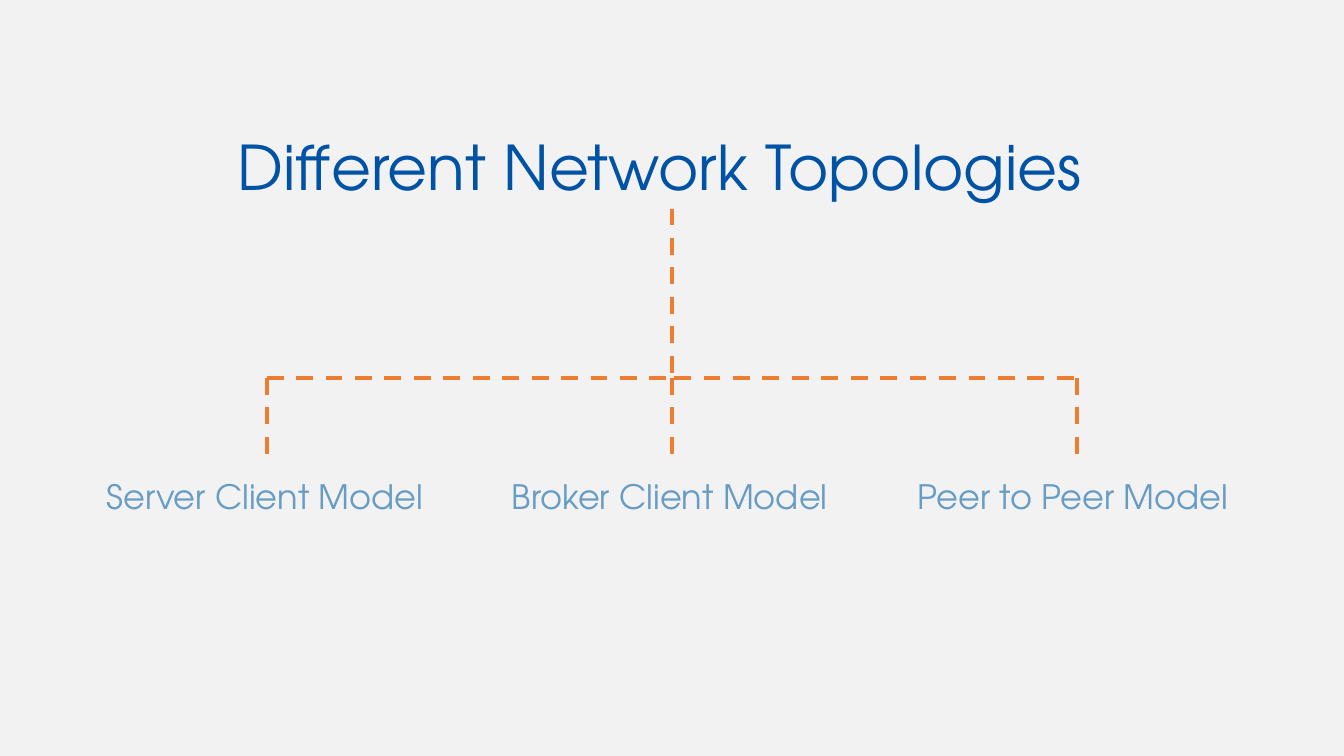
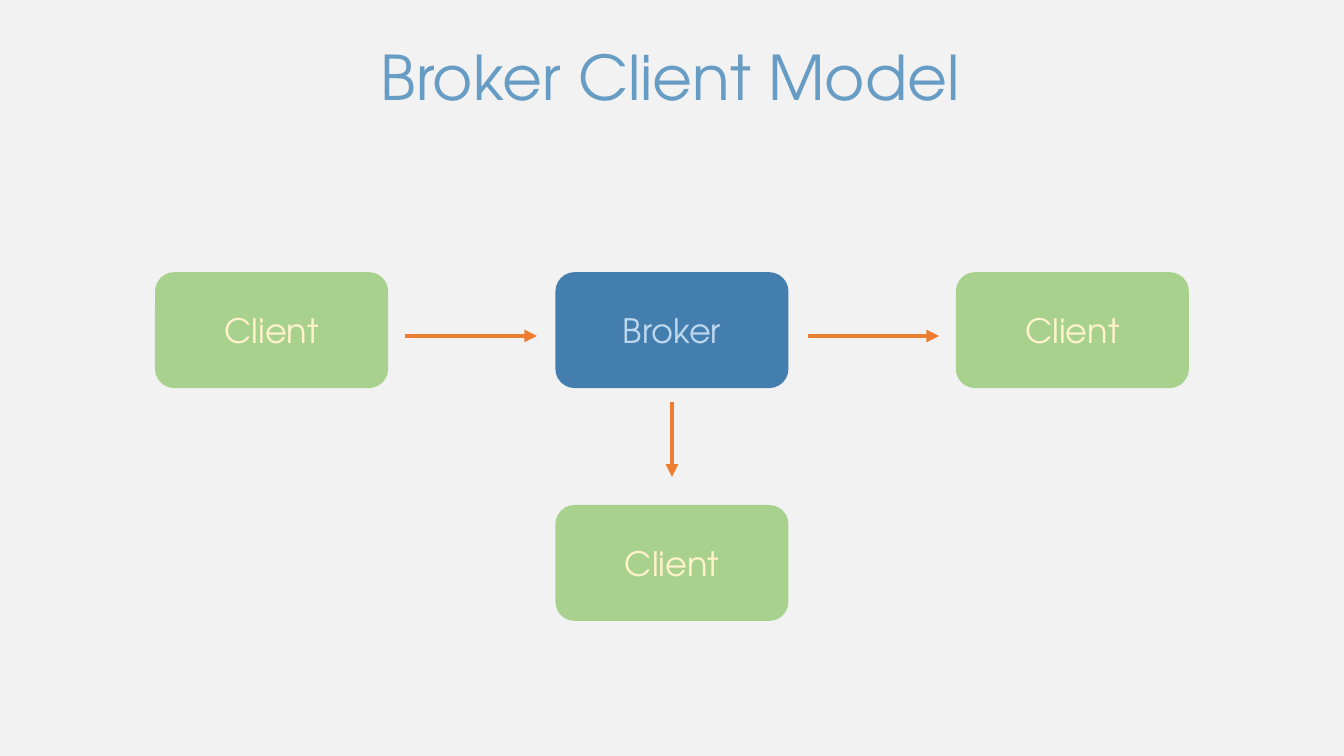
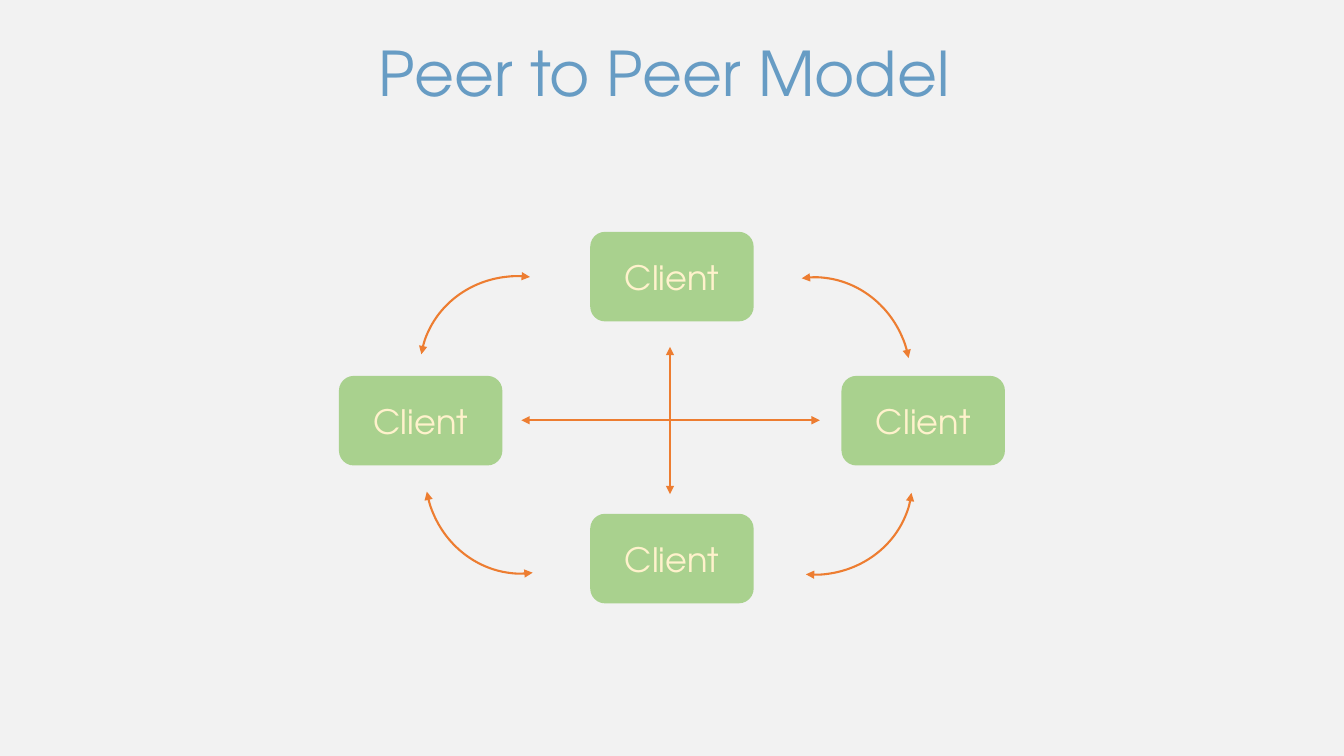
from dataclasses import dataclass

from lxml import etree
from pptx import Presentation
from pptx import util as u
from pptx.dml.color import RGBColor
from pptx.enum import dml, shapes, text
from pptx.oxml import ns

FONT = "TeX Gyre Adventor"
COLORS = {
    "page": "F2F2F2",
    "main_title": "0052A5",
    "title": "679CC4",
    "line": "ED7D31",
    "client": "A9D18E",
    "client_text": "FFF2CC",
    "broker": "447EAF",
    "broker_text": "BDD7EE",
}
WIDTH, HEIGHT = 960, 540
CENTER = WIDTH / 2
TITLE_SIZE, LABEL_SIZE = 44, 24
TITLE_HEIGHT, LABEL_HEIGHT = 60.5, 36


@dataclass(frozen=True)
class Label:
    words: str
    left: float
    top: float
    width: float
    height: float = TITLE_HEIGHT
    size: float = TITLE_SIZE
    color: str = "title"


@dataclass(frozen=True)
class Node:
    center: float
    top: float
    width: float
    height: float
    role: str = "client"


@dataclass(frozen=True)
class Link:
    x1: float
    y1: float
    x2: float
    y2: float
    weight: float = 3
    dashed: bool = False
    head: bool = False
    tail: bool = False


@dataclass(frozen=True)
class Arc:
    left: float
    top: float
    turn: float


def rgb(name: str) -> RGBColor:
    return RGBColor.from_string(COLORS[name])


def add_run(para, words: str, size: float, color: str) -> None:
    span = para.add_run()
    span.text = words
    span.font.name = FONT
    span.font.size = u.Pt(size)
    span.font.color.rgb = rgb(color)


def add_label(page, label: Label) -> None:
    box = page.shapes.add_textbox(
        u.Pt(label.left), u.Pt(label.top), u.Pt(label.width), u.Pt(label.height))
    frame = box.text_frame
    frame.word_wrap = True
    frame.auto_size = text.MSO_AUTO_SIZE.SHAPE_TO_FIT_TEXT
    add_run(frame.paragraphs[0], label.words, label.size, label.color)


def add_node(page, node: Node) -> None:
    box = page.shapes.add_shape(
        shapes.MSO_SHAPE.ROUNDED_RECTANGLE,
        u.Pt(node.center - node.width / 2), u.Pt(node.top),
        u.Pt(node.width), u.Pt(node.height))
    box.shadow.inherit = False
    box.fill.solid()
    box.fill.fore_color.rgb = rgb(node.role)
    box.line.fill.background()
    box.text_frame.vertical_anchor = text.MSO_ANCHOR.MIDDLE
    para = box.text_frame.paragraphs[0]
    para.alignment = text.PP_ALIGN.CENTER
    add_run(para, node.role.capitalize(), LABEL_SIZE, f"{node.role}_text")


def style_line(line, weight: float, head: bool, tail: bool, dashed: bool = False) -> None:
    line.color.rgb = rgb("line")
    line.width = u.Pt(weight)
    if dashed:
        line.dash_style = dml.MSO_LINE.DASH
    outline = line._get_or_add_ln()
    for tag, shown in (("a:headEnd", head), ("a:tailEnd", tail)):
        if shown:
            etree.SubElement(outline, ns.qn(tag), type="triangle")


def add_link(page, link: Link) -> None:
    connector = page.shapes.add_connector(
        shapes.MSO_CONNECTOR.STRAIGHT,
        u.Pt(link.x1), u.Pt(link.y1), u.Pt(link.x2), u.Pt(link.y2))
    style_line(connector.line, link.weight, link.head, link.tail, link.dashed)
    etree.SubElement(connector._element.spPr, ns.qn("a:effectLst"))


def add_arc(page, arc: Arc) -> None:
    curve = page.shapes.add_shape(
        shapes.MSO_SHAPE.ARC, u.Pt(arc.left), u.Pt(arc.top), u.Pt(136.8), u.Pt(128.2))
    curve.adjustments[0] = 8.19
    curve.adjustments[1] = 63.28
    curve.rotation = arc.turn
    curve.shadow.inherit = False
    curve.fill.background()
    style_line(curve.line, 1.5, True, True)


def add_page(deck, title: Label):
    page = deck.slides.add_slide(deck.slide_layouts[6])
    add_label(page, title)
    return page


def build_topologies(deck) -> None:
    page = add_page(deck, Label("Different Network Topologies", 162.7, 88.6, 634.3,
                                color="main_title"))
    pitch, bus, drop_end = 289.5, 270, 325.5
    models = ("Server Client Model", "Broker Client Model", "Peer to Peer Model")
    add_link(page, Link(CENTER, 149, CENTER, bus, dashed=True))
    for start in (CENTER - pitch, CENTER + 1.5):
        add_link(page, Link(start, bus, start + pitch, bus, dashed=True))
    for column, model in enumerate(models):
        add_label(page, Label(model, 69 + column * pitch, 336.2, 247, LABEL_HEIGHT, LABEL_SIZE))
        x = CENTER + (column - 1) * pitch
        add_link(page, Link(x, bus, x, drop_end, dashed=True))


def build_broker(deck) -> None:
    page = add_page(deck, Label("Broker Client Model", 265, 24.5, 438.5))
    pitch, width, height, top = 286, 166.5, 82.8, 194.4
    add_node(page, Node(CENTER, top, width, height, "broker"))
    for center, node_top in ((CENTER - pitch, top), (CENTER + pitch, top), (CENTER, 360.7)):
        add_node(page, Node(center, node_top, width, height))
    for start in (289.6, 576.8):
        add_link(page, Link(start, 240, start + 94, 240, tail=True))
    add_link(page, Link(CENTER, 287.3, CENTER, 340.6, tail=True))


def build_peers(deck) -> None:
    page = add_page(deck, Label("Peer to Peer Model", 263.5, 21.6, 433.5))
    reach, middle = 179.5, 268.5
    peers = ((CENTER - reach, middle), (CENTER, 367), (CENTER + reach, middle), (CENTER, 165.6))
    for center, top in peers:
        add_node(page, Node(center, top, 116.8, 64))
    arcs = (Arc(300.2, 197.3, 173.4), Arc(300.2, 277.9, 66.3),
            Arc(514.8, 282.2, 351.2), Arc(517, 201.6, 245.6))
    for arc in arcs:
        add_arc(page, arc)
    for ends in ((372.4, 300.2, 585.6, 300.2), (478.6, 353, 478.6, 247.8)):
        add_link(page, Link(*ends, weight=1.5, head=True, tail=True))


def main() -> None:
    deck = Presentation()
    deck.slide_width, deck.slide_height = u.Pt(WIDTH), u.Pt(HEIGHT)
    backdrop = deck.slide_master.background.fill
    backdrop.solid()
    backdrop.fore_color.rgb = rgb("page")
    for build in (build_topologies, build_broker, build_peers):
        build(deck)
    deck.save("out.pptx")


if __name__ == "__main__":
    main()
